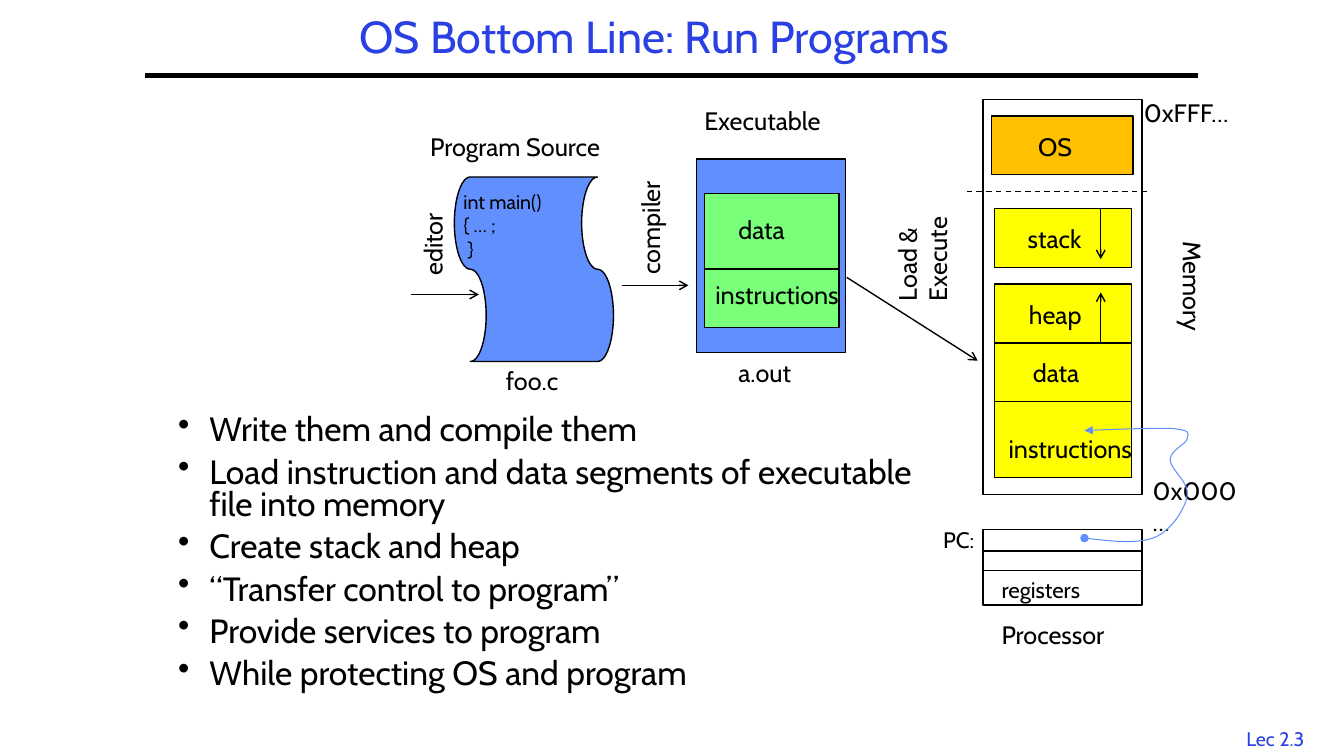
from lxml import etree
from pptx import Presentation
from pptx import util as u
from pptx.dml.color import RGBColor
from pptx.enum import dml, shapes, text
from pptx.oxml import ns

BLACK = RGBColor(0x00, 0x00, 0x00)
TITLE_BLUE = RGBColor(0x2A, 0x40, 0xE2)
FILE_BLUE = RGBColor(0x61, 0x8F, 0xFD)
SEGMENT_GREEN = RGBColor(0x79, 0xFF, 0x79)
MEMORY_YELLOW = RGBColor(0xFF, 0xFF, 0x00)
OS_ORANGE = RGBColor(0xFF, 0xC0, 0x00)

STEPS = 8


def bezier(start, control1, control2, end):
    for step in range(1, STEPS + 1):
        t = step / STEPS
        weights = ((1 - t) ** 3, 3 * t * (1 - t) ** 2, 3 * t * t * (1 - t), t ** 3)
        yield tuple(
            u.Cm(sum(w * value for w, value in zip(weights, axis)))
            for axis in zip(start, control1, control2, end)
        )


class Diagram:
    font = "Cabin"

    def __init__(self, slide):
        self.slide = slide

    def style_line(self, line, color=BLACK, width=1, head=None, tail=None):
        line.color.rgb = color
        line.width = u.Pt(width)
        for tag, kind in (("a:headEnd", head), ("a:tailEnd", tail)):
            if kind:
                etree.SubElement(line._get_or_add_ln(), ns.qn(tag), type=kind)

    def label(self, content, left, top, width, height=1.02, size=18, color=BLACK,
              rotation=0, align=text.PP_ALIGN.LEFT, anchor=text.MSO_ANCHOR.TOP,
              spacing=None, before=None, bullet=None):
        box = self.slide.shapes.add_textbox(*map(u.Cm, (left, top, width, height)))
        box.rotation = rotation
        frame = box.text_frame
        frame.word_wrap = True
        frame.vertical_anchor = anchor
        frame.text = content
        for index, paragraph in enumerate(frame.paragraphs):
            paragraph.alignment = align
            if spacing:
                paragraph.line_spacing = spacing
            if before and index:
                paragraph.space_before = u.Pt(before)
            if bullet:
                properties = paragraph._p.get_or_add_pPr()
                properties.set("marL", str(u.Cm(0.79)))
                properties.set("indent", str(u.Cm(-0.79)))
                etree.SubElement(properties, ns.qn("a:buChar"), char=bullet)
            paragraph.font.name = self.font
            paragraph.font.size = u.Pt(size)
            paragraph.font.color.rgb = color

    def block(self, left, top, width, height, fill=None,
              kind=shapes.MSO_SHAPE.RECTANGLE, rotation=0):
        block = self.slide.shapes.add_shape(kind, *map(u.Cm, (left, top, width, height)))
        block.shadow.inherit = False
        block.rotation = rotation
        if fill is None:
            block.fill.background()
        else:
            block.fill.solid()
            block.fill.fore_color.rgb = fill
        self.style_line(block.line)

    def line(self, x1, y1, x2, y2, width=1, tail=None, dash=None):
        line = self.slide.shapes.add_connector(
            shapes.MSO_CONNECTOR.STRAIGHT, *map(u.Cm, (x1, y1, x2, y2)))
        etree.SubElement(line._element.spPr, ns.qn("a:effectLst"))
        if dash:
            line.line.dash_style = dash
        self.style_line(line.line, width=width, tail=tail)

    def arrow(self, x1, y1, x2, y2):
        self.line(x1, y1, x2, y2, tail="arrow")

    def curve(self, start, pieces, color):
        builder = self.slide.shapes.build_freeform(*map(u.Cm, start))
        for piece in pieces:
            builder.add_line_segments(list(bezier(start, *piece)), close=False)
            start = piece[-1]
        curve = builder.convert_to_shape()
        curve.shadow.inherit = False
        curve.fill.background()
        self.style_line(curve.line, color, 0.75, head="oval", tail="triangle")


def draw_heading(diagram):
    diagram.line(3.66, 1.9, 30.2, 1.9, width=3)
    diagram.label("OS Bottom Line: Run Programs", 6.55, 0.25, 19.89, 1.47, 32, TITLE_BLUE,
                  align=text.PP_ALIGN.CENTER, anchor=text.MSO_ANCHOR.MIDDLE, spacing=0.9)
    diagram.label("Lec 2.3", 30.91, 18.19, 2.46, 0.84, 14, TITLE_BLUE,
                  align=text.PP_ALIGN.CENTER)


def draw_source(diagram):
    diagram.block(11.13, 4.78, 4.65, 4.01, FILE_BLUE,
                  shapes.MSO_SHAPE.FLOWCHART_PUNCHED_TAPE, 90)
    diagram.label("int main()\n{ … ;\n }", 11.43, 4.65, 2.72, 2.06, 14)
    diagram.arrow(10.36, 7.42, 12.07, 7.42)
    diagram.label("editor", 9.83, 5.61, 2.15, rotation=270)
    diagram.label("Program Source", 10.59, 3.18, 5.18)
    diagram.label("foo.c", 12.5, 9.09, 1.91)


def draw_executable(diagram):
    diagram.block(17.55, 4.01, 3.76, 4.88, FILE_BLUE)
    diagram.arrow(15.67, 7.19, 17.35, 7.19)
    diagram.label("compiler", 14.91, 5.18, 2.95, rotation=270)
    diagram.label("Executable", 17.5, 2.54, 3.68)
    diagram.label("a.out", 18.36, 8.89, 1.93)
    diagram.block(17.75, 4.88, 3.4, 1.9, SEGMENT_GREEN)
    diagram.block(17.75, 6.78, 3.4, 1.47, SEGMENT_GREEN)
    diagram.label("data", 18.36, 5.28, 1.75)
    diagram.label("instructions", 17.78, 6.91, 3.76)


def draw_memory(diagram):
    diagram.arrow(21.34, 6.99, 24.64, 9.09)
    diagram.label("Load & Execute", 21.67, 5.36, 3.15, 1.8, rotation=270)
    diagram.label("Memory", 28.65, 6.73, 2.82, rotation=90)
    diagram.block(24.77, 2.51, 4.01, 9.96)
    diagram.label("0xFFF…", 28.58, 2.34, 3)
    diagram.label("0x000…", 28.8, 11.86, 2.9)
    diagram.line(24.36, 4.83, 29.01, 4.83, dash=dml.MSO_LINE.DASH)
    diagram.block(24.99, 2.92, 3.56, 1.48, OS_ORANGE)
    diagram.label("OS", 25.91, 3.18, 1.45)
    segments = (
        ("stack", 5.26, 1.48, 25.65, 0.25),
        ("heap", 7.16, 1.48, 25.68, 0.25),
        ("data", 8.64, 1.48, 25.78, 0.25),
        ("instructions", 10.12, 1.91, 25.17, 0.67),
    )
    for name, top, height, name_left, name_offset in segments:
        diagram.block(25.07, top, 3.45, height, MEMORY_YELLOW)
        diagram.label(name, name_left, top + name_offset, 3.76)
    diagram.arrow(27.74, 5.26, 27.74, 6.53)
    diagram.arrow(27.74, 8.64, 27.74, 7.37)


def draw_processor(diagram):
    diagram.block(24.77, 13.34, 4.01, 1.91)
    diagram.block(24.77, 13.89, 4.01, 0.48)
    diagram.label("PC:", 23.52, 13.14, 1.47, 0.94, 16)
    diagram.label("registers", 24.99, 14.4, 2.69, 0.94, 16)
    diagram.label("Processor", 24.99, 15.49, 3.4)
    diagram.curve((27.33, 13.56), (
        ((28.02, 13.64), (28.68, 13.72), (29.11, 13.54)),
        ((29.54, 13.36), (29.87, 12.8), (29.92, 12.5)),
        ((30, 12.17), (29.49, 11.84), (29.49, 11.58)),
        ((29.49, 11.35), (29.92, 11.18), (29.92, 11.05)),
        ((29.95, 10.9), (30, 10.85), (29.57, 10.8)),
        ((29.13, 10.77), (27.33, 10.85), (27.33, 10.85)),
    ), FILE_BLUE)


def main():
    deck = Presentation()
    deck.slide_width, deck.slide_height = u.Cm(33.87), u.Cm(19.05)
    diagram = Diagram(deck.slides.add_slide(deck.slide_layouts[6]))
    draw_heading(diagram)
    draw_source(diagram)
    draw_executable(diagram)
    draw_memory(diagram)
    draw_processor(diagram)
    duties = (
        "Write them and compile them",
        "Load instruction and data segments of executable file into memory",
        "Create stack and heap",
        "“Transfer control to program”",
        "Provide services to program",
        "While protecting OS and program",
    )
    diagram.label("\n".join(duties), 4.24, 10.36, 19.63, 7.82, 24,
                  spacing=0.8, before=7.2, bullet="•")
    deck.save("out.pptx")


if __name__ == "__main__":
    main()
